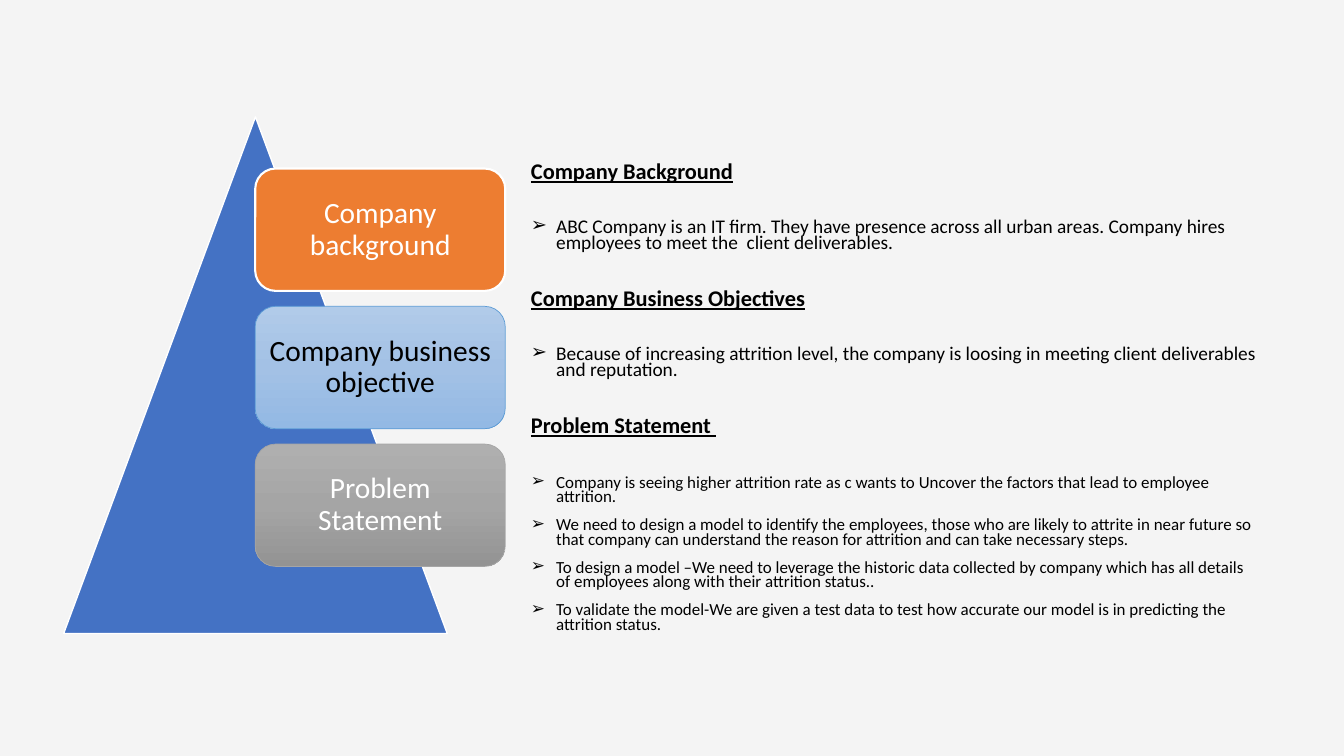
from copy import deepcopy

from pptx import Presentation
from pptx.dml.color import RGBColor
from pptx.enum.shapes import MSO_SHAPE
from pptx.enum.text import MSO_ANCHOR, PP_ALIGN
from pptx.oxml import parse_xml
from pptx.oxml.ns import nsdecls, qn
from pptx.util import Pt


def color(code):
    return RGBColor.from_string(code)


def write(par, text, size=21, ink="000000", font="Calibri", head=False,
          align=PP_ALIGN.LEFT, line=0.9, before=0, mark=None):
    """Fill one paragraph and set its format."""
    par.alignment = align
    par.line_spacing = line
    par.space_before = Pt(before)
    run = par.add_run()
    run.text = text
    run.font.name = font
    run.font.size = Pt(size)
    run.font.bold = run.font.underline = head
    run.font.color.rgb = color(ink)
    if mark:
        props = par._p.get_or_add_pPr()
        props.set("marL", str(Pt(18)))
        props.set("indent", str(Pt(-18)))
        props.append(parse_xml(f'<a:buFont {nsdecls("a")} typeface="Arial"/>'))
        props.append(parse_xml(f'<a:buChar {nsdecls("a")} char="{mark}"/>'))


class Deck:
    """Holds the current slide and the shared style."""
    back = "F4F4F4"
    mark = "➢"

    def __init__(self):
        self.prs = Presentation()
        self.prs.slide_width, self.prs.slide_height = Pt(960), Pt(540)
        self.slide = self.prs.slides.add_slide(self.prs.slide_layouts[6])
        fill = self.slide.background.fill
        fill.solid()
        fill.fore_color.rgb = color(self.back)

    def shape(self, kind, box, fills, edge, width):
        item = self.slide.shapes.add_shape(kind, *map(Pt, box))
        item.shadow.inherit = False
        item.line.color.rgb = color(edge)
        item.line.width = Pt(width)
        if len(fills) == 1:
            item.fill.solid()
            item.fill.fore_color.rgb = color(fills[0])
        else:
            self.blend(item, fills)
        return item

    def blend(self, item, fills):
        """Vertical gradient with evenly spaced stops."""
        item.fill.gradient()
        item.fill.gradient_angle = 270
        stops = item._element.spPr.find(".//" + qn("a:gsLst"))
        for _ in fills[2:]:
            stops.append(deepcopy(stops[0]))
        for i, stop in enumerate(item.fill.gradient_stops):
            stop.color.rgb = color(fills[i])
            stop.position = i / (len(fills) - 1)

    def card(self, box, text, ink, fills, edge, width):
        item = self.shape(MSO_SHAPE.ROUNDED_RECTANGLE, box, fills, edge, width)
        frame = item.text_frame
        frame.word_wrap = True
        frame.vertical_anchor = MSO_ANCHOR.MIDDLE
        frame.margin_left = frame.margin_right = Pt(6)
        frame.margin_top = frame.margin_bottom = Pt(6)
        write(frame.paragraphs[0], text, ink=ink, align=PP_ALIGN.CENTER)

    def notes(self, box, parts, top):
        """Underlined headings, each with its bullets."""
        frame = self.slide.shapes.add_textbox(*map(Pt, box)).text_frame
        frame.word_wrap = True
        frame.margin_top = Pt(top)
        for i, (title, size, gap, items) in enumerate(parts):
            par = frame.add_paragraph() if i else frame.paragraphs[0]
            write(par, title, size=16, head=True, line=0.7,
                  before=27.5 if i else 0)
            for j, text in enumerate(items):
                write(frame.add_paragraph(), text, size=size, line=0.7,
                      before=10 if j else gap, mark=self.mark)


# Heading, bullet size, gap under the heading, bullets
PARTS = [
    ("Company Background", 13.8, 26.6, [
        "ABC Company is an IT firm. They have presence across all urban areas. "
        "Company hires employees to meet the  client deliverables."]),
    ("Company Business Objectives", 13.8, 26.6, [
        "Because of increasing attrition level, the company is loosing in "
        "meeting client deliverables and reputation."]),
    ("Problem Statement ", 12.1, 28.5, [
        "Company is seeing higher attrition rate as c wants to Uncover the "
        "factors that lead to employee attrition.",
        "We need to design a model to identify the employees, those who are "
        "likely to attrite in near future so that company can understand the "
        "reason for attrition and can take necessary steps.",
        "To design a model –We need to leverage the historic data collected by "
        "company which has all details of employees along with their attrition "
        "status..",
        "To validate the model-We are given a test data to test how accurate "
        "our model is in predicting the attrition status."]),
]

# Text, ink, fill stops, edge, edge width
CARDS = [
    ("Company background", "FFFFFF", ["ED7D31"], "FFFFFF", 1.5),
    ("Company business objective", "000000",
     ["B1CBE9", "A3C1E5", "93B9E4"], "5B9BD5", 0.5),
    ("Problem Statement", "FFFFFF",
     ["AFAFAF", "A5A5A5", "939393"], "A5A5A5", 0.5),
]


def main():
    deck = Deck()
    # Text on the right
    deck.notes((372.2, 96.5, 536.4, 400.3), PARTS, top=21)
    # Pyramid with its cards
    deck.shape(MSO_SHAPE.ISOSCELES_TRIANGLE, (45.5, 83.5, 274, 369),
               ["4472C4"], "FFFFFF", 1)
    for i, card in enumerate(CARDS):
        deck.card((182.3, 120.4 + 98.4 * i, 178.6, 87.4), *card)
    deck.prs.save("out.pptx")


if __name__ == "__main__":
    main()
